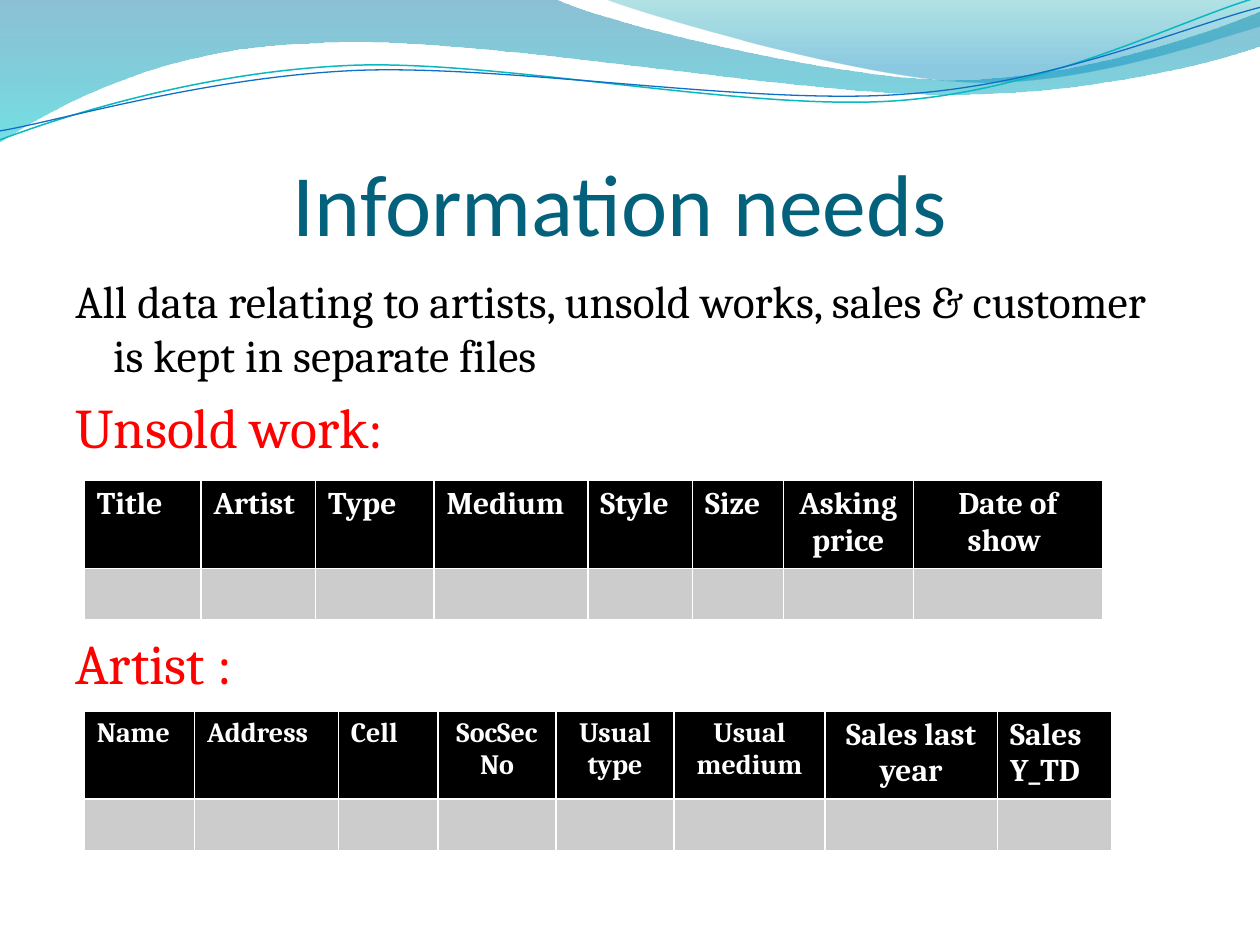
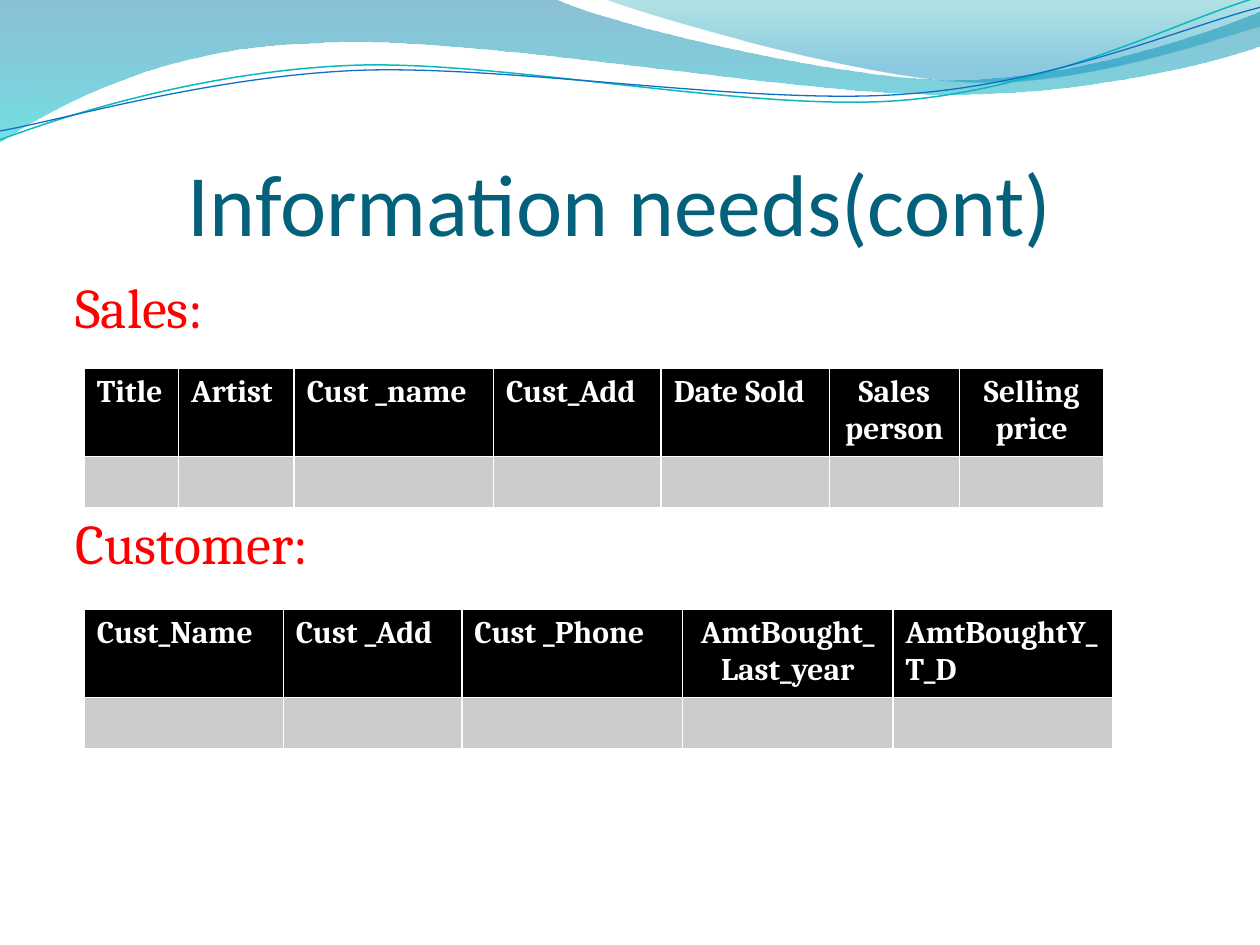
from dataclasses import dataclass

from lxml import etree
from pptx import Presentation
from pptx import util as u
from pptx.dml import color
from pptx.enum import text
from pptx.oxml import ns

Cm, Pt = u.Cm, u.Pt


@dataclass(frozen=True)
class Theme:
    title_font: str = "Calibri"
    body_font: str = "Cambria"
    title_color: str = "04617B"
    body_color: str = "000000"
    heading_color: str = "FF0000"
    header_fill: str = "000000"
    row_fill: str = "CCCCCC"
    header_color: str = "FFFFFF"
    band_stops: tuple = ((0, "0074A1", 45), (1, "00C6CF", 55))
    corner_stops: tuple = ((0, "00A1A9", 30), (0.8, "008BBF", 45))
    teal_line: str = "0AB8BF"
    blue_line: str = "0F6FC6"
    title_size: float = 50
    heading_size: float = 32
    intro_size: float = 26
    header_size: float = 18
    small_header_size: float = 16
    heading_gap: float = 6.4
    table_gap: float = 96.4


@dataclass(frozen=True)
class Column:
    label: str
    width: float
    centered: bool = False
    size: float = Theme.header_size


BAND = [
    [(0, 0)], [(11.18, -0.03)],
    [(12.09, 0.43), (16.87, 1.6), (19.25, 1.6)],
    [(21.67, 1.6), (24.33, 0.66), (25.4, 0.23)],
    [(25.43, 0.91)],
    [(24.97, 1.12), (22.1, 1.93), (18.95, 1.9)],
    [(15.8, 1.9), (9.7, 0.71), (6.53, 0.86)],
    [(3.28, 0.91), (1.17, 2.11), (-0.03, 2.87)],
]
CORNER = [
    [(12.17, -0.03)],
    [(12.93, 0.28), (17.32, 1.57), (19.53, 1.65)],
    [(21.74, 1.75), (24.41, 0.81), (25.4, 0.53)],
    [(25.4, 0)],
]
TEAL_WAVE = [
    [(0, 2.82)],
    [(1.22, 2.36), (4.01, 1.45), (7.04, 1.32)],
    [(10.03, 1.19), (15.06, 2.26), (18.11, 2.03)],
    [(21.16, 1.8), (23.83, 0.38), (25.35, -0.05)],
]
BLUE_WAVE = [
    [(0, 2.64)],
    [(1.19, 2.44), (4.17, 1.55), (7.19, 1.42)],
    [(10.24, 1.3), (15.16, 2.13), (18.21, 1.9)],
    [(21.23, 1.7), (23.9, 0.53), (25.4, 0.15)],
]


def rgb(value):
    return color.RGBColor.from_string(value)


class Deck:
    def __init__(self, theme):
        self.theme = theme
        self.prs = Presentation()
        self.prs.slide_width, self.prs.slide_height = Cm(25.4), Cm(19.05)
        self.slide = None

    def start_slide(self, title):
        self.slide = self.prs.slides.add_slide(self.prs.slide_layouts[5])
        self.wave_fill(BAND, self.theme.band_stops)
        self.wave_fill(CORNER, self.theme.corner_stops)
        self.wave_line(TEAL_WAVE, self.theme.teal_line, 0.85)
        self.wave_line(BLUE_WAVE, self.theme.blue_line, 0.75)
        self.title(title)

    def outline(self, segments, close):
        segments = [[(Cm(x), Cm(y)) for x, y in segment] for segment in segments]
        ends = [segment[-1] for segment in segments]
        builder = self.slide.shapes.build_freeform(*ends[0])
        builder.add_line_segments(ends[1:], close=close)
        shape = builder.convert_to_shape()
        shape.shadow.inherit = False
        sides = list(shape.element.spPr.iter(ns.qn("a:lnTo")))
        for side, segment in zip(sides, segments[1:]):
            if len(segment) == 3:
                curve = etree.Element(ns.qn("a:cubicBezTo"))
                for x, y in segment:
                    etree.SubElement(curve, ns.qn("a:pt"),
                                     x=str(x - shape.left), y=str(y - shape.top))
                side.getparent().replace(side, curve)
        return shape

    def wave_fill(self, segments, stops):
        wave = self.outline(segments, True)
        wave.line.fill.background()
        wave.fill.gradient()
        wave.fill.gradient_angle = 270
        for stop, (position, tint, _) in zip(wave.fill.gradient_stops, stops):
            stop.position = position
            stop.color.rgb = rgb(tint)
        tints = list(wave.element.spPr.iter(ns.qn("a:srgbClr")))
        for tint, (_, _, opacity) in zip(tints, stops):
            etree.SubElement(tint, ns.qn("a:alpha"), val=str(opacity * 1000))

    def wave_line(self, segments, tint, width):
        wave = self.outline(segments, False)
        wave.fill.background()
        wave.line.color.rgb = rgb(tint)
        wave.line.width = Pt(width)

    def run(self, paragraph, words, font, size, tint, bold=False):
        run = paragraph.add_run()
        run.text = words
        run.font.name, run.font.size, run.font.bold = font, Pt(size), bold
        run.font.color.rgb = rgb(tint)

    def title(self, words):
        title = self.slide.shapes.title
        title.left, title.top = Cm(1.27), Cm(1.95)
        title.width, title.height = Cm(22.86), Cm(3.18)
        frame = title.text_frame
        frame.auto_size = text.MSO_AUTO_SIZE.NONE
        frame.vertical_anchor = text.MSO_ANCHOR.BOTTOM
        frame.margin_left = frame.margin_right = frame.margin_bottom = 0
        frame.margin_top = Cm(0.13)
        paragraph = frame.paragraphs[0]
        paragraph.alignment = text.PP_ALIGN.CENTER
        self.run(paragraph, words, self.theme.title_font,
                 self.theme.title_size, self.theme.title_color)

    def body(self, headings, intro=None):
        theme = self.theme
        lines = [(words, theme.heading_size, theme.heading_color, theme.table_gap)
                 for words in headings]
        if intro:
            lines[0] = (*lines[0][:3], theme.heading_gap)
            lines.insert(0, (intro, theme.intro_size, theme.body_color, 0))
        box = self.slide.shapes.add_textbox(Cm(1.27), Cm(5.37), Cm(22.86), Cm(12.19))
        frame = box.text_frame
        frame.word_wrap = True
        for number, (words, size, tint, gap) in enumerate(lines):
            paragraph = frame.add_paragraph() if number else frame.paragraphs[0]
            paragraph.space_before = Pt(gap if number else 0)
            properties = paragraph._p.get_or_add_pPr()
            properties.set("marL", str(Cm(0.76)))
            properties.set("indent", str(-Cm(0.76)))
            self.run(paragraph, words, theme.body_font, size, tint)

    def file_table(self, top, columns):
        row_height = 1.04
        width = sum(column.width for column in columns)
        table = self.slide.shapes.add_table(
            2, len(columns), Cm(1.7), Cm(top), Cm(width), Cm(2 * row_height)).table
        for row, fill in zip(table.rows, (self.theme.header_fill, self.theme.row_fill)):
            row.height = Cm(row_height)
            for cell in row.cells:
                cell.fill.solid()
                cell.fill.fore_color.rgb = rgb(fill)
        for index, column in enumerate(columns):
            table.columns[index].width = Cm(column.width)
            frame = table.cell(0, index).text_frame
            for number, words in enumerate(column.label.split("\n")):
                paragraph = frame.add_paragraph() if number else frame.paragraphs[0]
                if column.centered:
                    paragraph.alignment = text.PP_ALIGN.CENTER
                self.run(paragraph, words, self.theme.body_font,
                         column.size, self.theme.header_color, True)


def main():
    theme = Theme()
    small = theme.small_header_size
    deck = Deck(theme)

    deck.start_slide("Information needs ")
    deck.body(["Unsold work:", "Artist :"],
              "All data relating to artists, unsold works, sales & customer "
              "is kept in separate files")
    deck.file_table(9.68, [
        Column("Title", 2.35), Column("Artist", 2.31), Column("Type", 2.39),
        Column("Medium", 3.1), Column("Style", 2.11), Column("Size", 1.83),
        Column("Asking price", 2.62, True), Column("Date of show ", 3.81, True),
    ])
    deck.file_table(14.33, [
        Column("Name", 2.22, size=small), Column("Address", 2.9, size=small),
        Column("Cell", 2.01, size=small), Column("SocSecNo", 2.38, True, small),
        Column("Usual type", 2.38, True, small),
        Column("Usual medium", 3.04, True, small),
        Column("Sales last\nyear", 3.48, True), Column("Sales Y_TD", 2.31),
    ])

    deck.start_slide("Information needs(cont) ")
    deck.body(["Sales:", "Customer:"])
    deck.file_table(7.42, [
        Column("Title", 1.9), Column("Artist", 2.33), Column("Cust _name", 4.02),
        Column("Cust_Add", 3.38), Column("Date Sold", 3.39),
        Column("Sales person", 2.62, True), Column("Selling price", 2.92, True),
    ])
    deck.file_table(12.28, [
        Column("Cust_Name", 4.01), Column("Cust _Add", 3.6),
        Column("Cust _Phone", 4.45), Column("AmtBought_Last_year", 4.24, True),
        Column("AmtBoughtY_T_D", 4.44),
    ])

    deck.prs.save("out.pptx")


if __name__ == "__main__":
    main()
